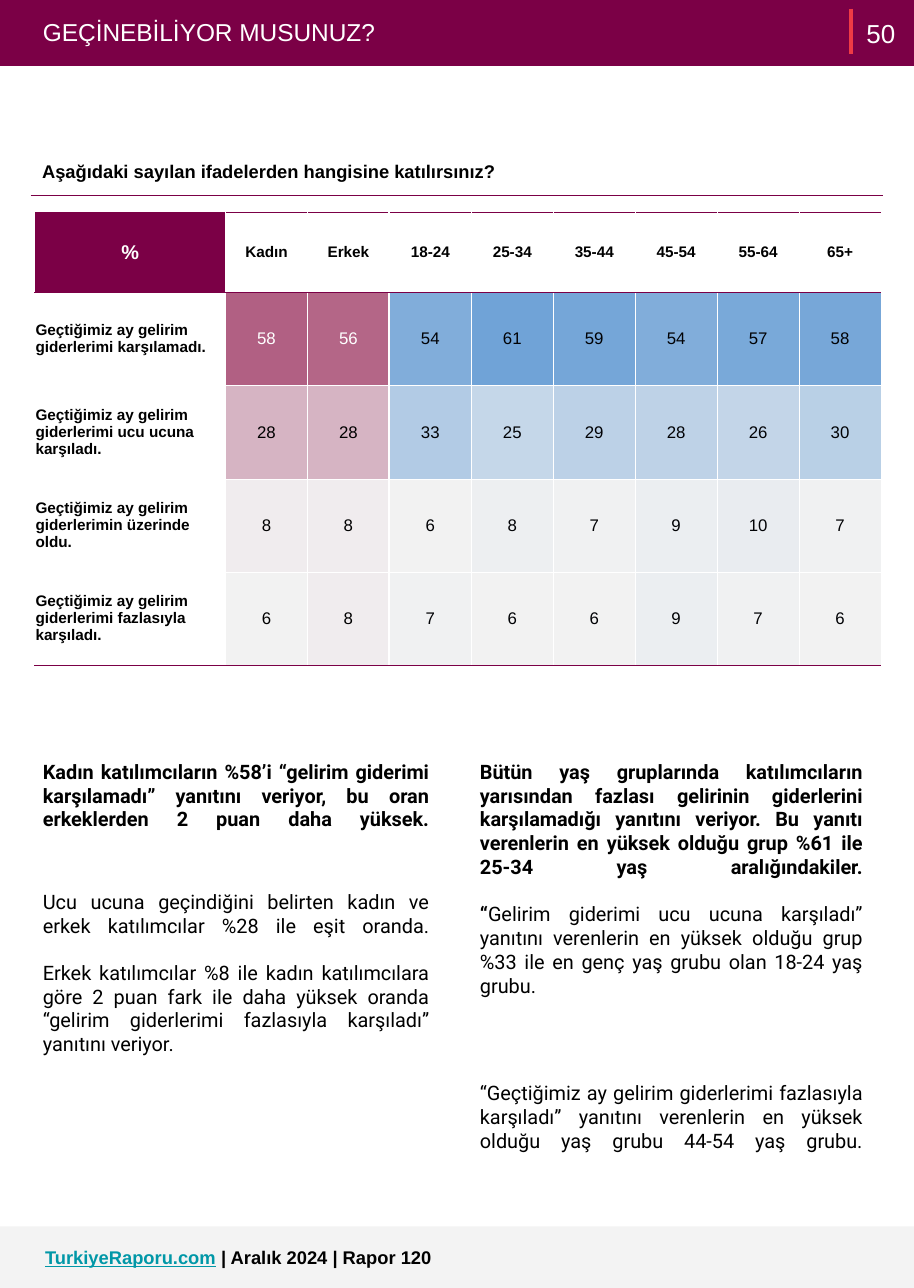
from dataclasses import dataclass

from lxml.etree import SubElement
from pptx import Presentation
from pptx.dml.color import RGBColor
from pptx.enum.shapes import MSO_CONNECTOR, MSO_SHAPE
from pptx.enum.text import MSO_ANCHOR, MSO_AUTO_SIZE, PP_ALIGN
from pptx.oxml.ns import qn
from pptx.util import Cm, Pt


@dataclass(frozen=True)
class Theme:
    plum: str = "7B0046"
    red: str = "EF3B45"
    teal: str = "0097A7"
    white: str = "FFFFFF"
    black: str = "000000"
    ink: str = "010205"
    footer: str = "F3F3F3"
    heat_low: str = "F2F2F2"
    gender_high: str = "B16083"
    age_high: str = "70A3D7"
    sans: str = "Arial"
    body_font: str = "Roboto"
    page: float = 17
    title: float = 16
    body: float = 13
    heading: float = 12
    value: float = 11
    label: float = 10


THEME = Theme()
WIDTH, HEIGHT = 21.08, 29.72
GROUPS = ["Kadın", "Erkek", "18-24", "25-34", "35-44", "45-54", "55-64", "65+"]
GENDERS = 2
ANSWERS = [
    ("Geçtiğimiz ay gelirim giderlerimi karşılamadı.", [58, 56, 54, 61, 59, 54, 57, 58]),
    ("Geçtiğimiz ay gelirim giderlerimi ucu ucuna karşıladı.", [28, 28, 33, 25, 29, 28, 26, 30]),
    ("Geçtiğimiz ay gelirim giderlerimin üzerinde oldu.", [8, 8, 6, 8, 7, 9, 10, 7]),
    ("Geçtiğimiz ay gelirim giderlerimi fazlasıyla karşıladı.", [6, 8, 7, 6, 6, 9, 7, 6]),
]
# Each paragraph: bold part, plain part, space before, last line stretched
GENDER_COMMENTS = [
    ("Kadın katılımcıların %58’i “gelirim giderimi karşılamadı” yanıtını veriyor, "
     "bu oran erkeklerden 2 puan daha yüksek.", "", 0, True),
    ("", "Ucu ucuna geçindiğini belirten kadın ve erkek katılımcılar %28 ile eşit oranda.", 37, True),
    ("", "Erkek katılımcılar %8 ile kadın katılımcılara göre 2 puan fark ile daha yüksek oranda "
     "“gelirim giderlerimi fazlasıyla karşıladı” yanıtını veriyor.", 14, False),
]
AGE_COMMENTS = [
    ("Bütün yaş gruplarında katılımcıların yarısından fazlası gelirinin giderlerini karşılamadığı "
     "yanıtını veriyor. Bu yanıtı verenlerin en yüksek olduğu grup %61 ile 25-34 yaş aralığındakiler.",
     "", 0, True),
    ("“", "Gelirim giderimi ucu ucuna karşıladı” yanıtını verenlerin en yüksek olduğu grup "
     "%33 ile en genç yaş grubu olan 18-24 yaş grubu.", 14, False),
    ("", "“Geçtiğimiz ay gelirim giderlerimi fazlasıyla karşıladı” yanıtını verenlerin "
     "en yüksek olduğu yaş grubu 44-54 yaş grubu.", 54.5, True),
]


def rgb(color):
    return RGBColor.from_string(color)


def write(paragraph, text, size, color=THEME.black, font=THEME.sans, bold=False, underline=False, align=None):
    run = paragraph.add_run()
    run.text = text
    run.font.size, run.font.name = Pt(size), font
    run.font.bold, run.font.underline = bold, underline
    run.font.color.rgb = rgb(color)
    if align is not None:
        paragraph.alignment = align


def set_frame(frame, anchor=MSO_ANCHOR.TOP):
    frame.word_wrap = True
    frame.auto_size = MSO_AUTO_SIZE.NONE
    frame.vertical_anchor = anchor
    frame.margin_left = frame.margin_right = frame.margin_top = frame.margin_bottom = Cm(0.25)
    return frame


def add_text_frame(slide, left, top, width, height, anchor=MSO_ANCHOR.TOP):
    box = slide.shapes.add_textbox(Cm(left), Cm(top), Cm(width), Cm(height))
    return set_frame(box.text_frame, anchor)


def add_band(slide, top, height, color):
    band = slide.shapes.add_shape(MSO_SHAPE.RECTANGLE, 0, Cm(top), Cm(WIDTH), Cm(height))
    band.shadow.inherit = False
    band.fill.solid()
    band.fill.fore_color.rgb = rgb(color)
    band.line.fill.background()


def add_rule(slide, x, top, bottom, color, width):
    rule = slide.shapes.add_connector(MSO_CONNECTOR.STRAIGHT, Cm(x), Cm(top), Cm(x), Cm(bottom))
    rule.line.color.rgb = rgb(color)
    rule.line.width = Pt(width)
    SubElement(rule.element.spPr, qn("a:effectLst"))


def stretch_last_line(paragraph):
    """End a justified paragraph with a 1 pt line break, so that its last line fills the width."""
    line_break = SubElement(paragraph._p, qn("a:br"))
    SubElement(line_break, qn("a:rPr"), sz="100")
    SubElement(paragraph._p, qn("a:endParaRPr"), sz="100")


def add_comments(slide, left, width, comments):
    frame = add_text_frame(slide, left, 17.27, width, 10)
    for index, (strong, plain, gap, stretched) in enumerate(comments):
        paragraph = frame.add_paragraph() if index else frame.paragraphs[0]
        paragraph.alignment = PP_ALIGN.JUSTIFY
        if gap:
            paragraph.space_before = Pt(gap)
        for text, bold in ((strong, True), (plain, False)):
            if text:
                write(paragraph, text, THEME.body, font=THEME.body_font, bold=bold)
        if stretched:
            stretch_last_line(paragraph)


def add_plain_table(slide, left, top, widths, heights):
    frame = slide.shapes.add_table(len(heights), len(widths), Cm(left), Cm(top),
                                   Cm(sum(widths)), Cm(sum(heights)))
    table = frame.table
    table.first_row = table.horz_banding = False
    for column, width in zip(table.columns, widths):
        column.width = Cm(width)
    for row, height in zip(table.rows, heights):
        row.height = Cm(height)
    return table


def format_cell(cell, margin, borders, fill=None, anchor=MSO_ANCHOR.MIDDLE):
    """Set margins, fill and borders; borders maps L, R, T, B to (colour, points)."""
    cell.margin_left = cell.margin_right = cell.margin_top = cell.margin_bottom = Cm(margin)
    cell.vertical_anchor = anchor
    properties = cell._tc.get_or_add_tcPr()
    for side in "LRTB":
        color, width = borders[side]
        line = SubElement(properties, qn(f"a:ln{side}"), w=str(Pt(width)))
        SubElement(SubElement(line, qn("a:solidFill")), qn("a:srgbClr"), val=color)
    if fill:
        cell.fill.solid()
        cell.fill.fore_color.rgb = rgb(fill)
    else:
        cell.fill.background()


def heat_color(value, values, high):
    """Shade a value between the lowest and the highest of its block."""
    share = (value - min(values)) / (max(values) - min(values))
    ends = zip(rgb(THEME.heat_low), rgb(high))
    return str(RGBColor(*(round(low + (top - low) * share) for low, top in ends)))


def add_question(slide, question):
    cell = add_plain_table(slide, 0.72, 3.41, [19.63], [1.09]).cell(0, 0)
    borders = {side: (THEME.white, 0.75) for side in "LRT"} | {"B": (THEME.plum, 0.75)}
    format_cell(cell, 0.25, borders, anchor=MSO_ANCHOR.TOP)
    paragraph = cell.text_frame.paragraphs[0]
    paragraph.line_spacing = 1.15
    write(paragraph, question, THEME.heading, bold=True)


def result_borders(row, column):
    rule, gap = (THEME.plum, 0.5), (THEME.white, 0.5)
    divider = (THEME.white, 1.5)
    return {"L": divider if column == GENDERS + 1 else gap,
            "R": divider if column == GENDERS else gap,
            "T": rule if row < 2 else gap,
            "B": rule if row in (0, len(ANSWERS)) else gap}


def add_results(slide):
    table = add_plain_table(slide, 0.8, 4.9, [4.4] + [1.89] * len(GROUPS), [1.85] + [2.15] * len(ANSWERS))

    def fill_cell(row, column, text, size, fill=None, **style):
        cell = table.cell(row, column)
        format_cell(cell, 0.02, result_borders(row, column), fill)
        write(cell.text_frame.paragraphs[0], text, size, **style)

    center = PP_ALIGN.CENTER
    fill_cell(0, 0, "%", THEME.body, THEME.plum, color=THEME.white, bold=True, align=center)
    for column, group in enumerate(GROUPS, 1):
        fill_cell(0, column, group, THEME.label, bold=True, align=center)
        is_gender = column <= GENDERS
        block = slice(0, GENDERS) if is_gender else slice(GENDERS, None)
        block_values = [value for _, values in ANSWERS for value in values[block]]
        high = THEME.gender_high if is_gender else THEME.age_high
        for row, (_, values) in enumerate(ANSWERS, 1):
            value = values[column - 1]
            color = THEME.ink if not is_gender else THEME.white if value > 50 else THEME.black
            fill_cell(row, column, str(value), THEME.value, heat_color(value, block_values, high),
                      color=color, align=center)
    for row, (answer, _) in enumerate(ANSWERS, 1):
        fill_cell(row, 0, answer, THEME.label, bold=True)


def add_header(slide, heading, page):
    add_band(slide, 0, 1.52, THEME.plum)
    add_rule(slide, 19.63, 0.2, 1.24, THEME.red, 2.25)
    number = add_text_frame(slide, 19.63, -0.38, 1.37, 2.29, MSO_ANCHOR.MIDDLE)
    write(number.paragraphs[0], page, THEME.page, THEME.white, align=PP_ALIGN.CENTER)
    title = slide.shapes.title
    title.left, title.top, title.width, title.height = Cm(0.74), Cm(0.15), Cm(18.8), Cm(1.19)
    paragraph = set_frame(title.text_frame).paragraphs[0]
    write(paragraph, heading, THEME.title, THEME.white, align=PP_ALIGN.LEFT)
    title.element.getparent().append(title.element)  # bring the title in front of the band


def add_footer(slide):
    add_band(slide, 28.3, HEIGHT - 28.3, THEME.footer)
    paragraph = add_text_frame(slide, 0.79, 28.5, 17.68, 1.02).paragraphs[0]
    write(paragraph, "TurkiyeRaporu.com", THEME.heading, THEME.teal, bold=True, underline=True)
    write(paragraph, " | Aralık 2024 | Rapor 120", THEME.heading, bold=True)


def main():
    deck = Presentation()
    deck.slide_width, deck.slide_height = Cm(WIDTH), Cm(HEIGHT)
    slide = deck.slides.add_slide(deck.slide_layouts[5])
    add_header(slide, "GEÇİNEBİLİYOR MUSUNUZ?", "50")
    add_question(slide, "Aşağıdaki sayılan ifadelerden hangisine katılırsınız?")
    add_results(slide)
    add_comments(slide, 0.74, 9.4, GENDER_COMMENTS)
    add_comments(slide, 10.82, 9.32, AGE_COMMENTS)
    add_footer(slide)
    deck.save("out.pptx")


if __name__ == "__main__":
    main()
